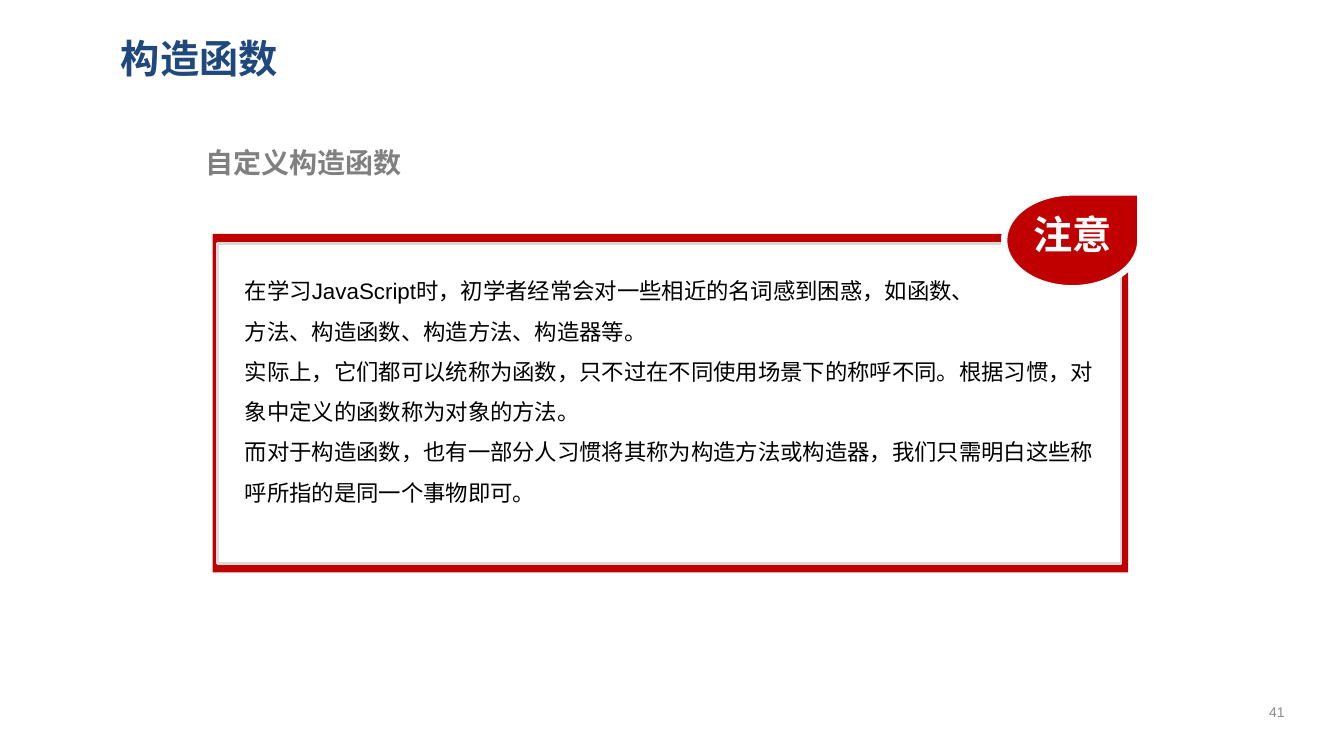
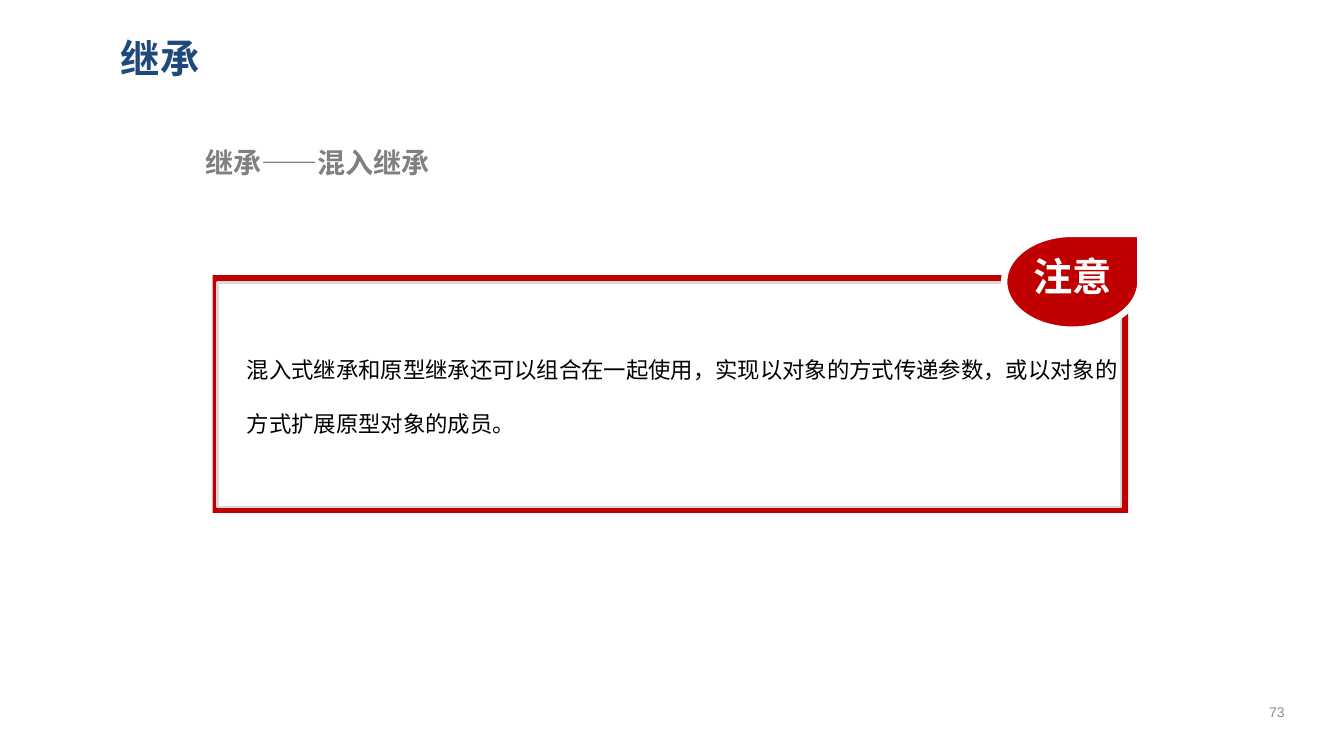
"""Build two note slides about JavaScript constructors and inheritance."""
from dataclasses import dataclass
from typing import NamedTuple

from lxml import etree
from pptx import Presentation
from pptx import util as u
from pptx.dml.color import RGBColor
from pptx.enum import shapes, text
from pptx.oxml.ns import qn

EMU_PER_PX = 9144


@dataclass(frozen=True)
class Theme:
    """Colours, fonts and type sizes shared by the slides."""
    navy: str = "1F497D"
    grey: str = "808080"
    red: str = "C00000"
    white: str = "FFFFFF"
    edge: str = "D9D9D9"
    black: str = "000000"
    number: str = "8C8C8C"
    latin: str = "Arial"
    cjk: str = "Noto Sans CJK SC"
    title_size: int = 28
    subtitle_size: int = 20
    body_size: int = 16
    number_size: int = 10


class Box(NamedTuple):
    """A rectangle in px, one hundred to the inch."""
    left: int
    top: int
    width: int
    height: int

    def emu(self) -> list[u.Emu]:
        """Return the four lengths in EMU."""
        return [px(n) for n in self]


@dataclass(frozen=True)
class Note:
    """The content of one slide and the places that vary."""
    title: str
    subtitle: str
    number: int
    panel_top: int
    panel_height: int
    body: Box
    spacing: float
    paragraphs: tuple[str, ...]


THEME = Theme()
TITLE_BOX = Box(110, 24, 1165, 67)
SUBTITLE_BOX = Box(194, 139, 922, 44)
NUMBER_BOX = Box(1234, 686, 65, 40)

NOTES = (
    Note("构造函数", "自定义构造函数", 41, 232, 336, Box(233, 257, 873, 283), 1.5, (
        "在学习JavaScript时，初学者经常会对一些相近的名词感到困惑，如函数、",
        "方法、构造函数、构造方法、构造器等。",
        "实际上，它们都可以统称为函数，只不过在不同使用场景下的称呼不同。"
        "根据习惯，对象中定义的函数称为对象的方法。",
        "而对于构造函数，也有一部分人习惯将其称为构造方法或构造器，"
        "我们只需明白这些称呼所指的是同一个事物即可。")),
    Note("继承", "继承——混入继承", 73, 273, 236, Box(235, 322, 890, 122), 2.0, (
        "混入式继承和原型继承还可以组合在一起使用，"
        "实现以对象的方式传递参数，或以对象的方式扩展原型对象的成员。",)),
)


def px(n: int) -> u.Emu:
    """Turn px into EMU."""
    return u.Emu(n * EMU_PER_PX)


def write(tf, *lines: str, size: int, color: str, font: str = THEME.cjk,
          bold: bool = False, align=text.PP_ALIGN.LEFT,
          anchor=text.MSO_ANCHOR.TOP, spacing: float = 1.0,
          wrap: bool = True) -> None:
    """Fill a text frame with one formatted paragraph per line."""
    tf.word_wrap = wrap
    tf.auto_size = text.MSO_AUTO_SIZE.NONE
    tf.vertical_anchor = anchor
    for i, line in enumerate(lines):
        p = tf.add_paragraph() if i else tf.paragraphs[0]
        p.alignment = align
        p.line_spacing = spacing
        r = p.add_run()
        r.text = line
        r.font.name = font
        r.font.size = u.Pt(size)
        r.font.bold = bold
        r.font.color.rgb = RGBColor.from_string(color)
        ea = etree.SubElement(r._r.get_or_add_rPr(), qn("a:ea"))
        ea.set("typeface", THEME.cjk)


def add_text(parent, box: Box, *lines: str, **fmt) -> None:
    """Add a text box with formatted lines."""
    write(parent.add_textbox(*box.emu()).text_frame, *lines, **fmt)


def add_block(parent, kind, box: Box, fill: str, line: str | None = None,
              weight: float = 0) -> None:
    """Add a flat filled shape, outlined if a line colour is given."""
    sp = parent.add_shape(kind, *box.emu())
    sp.shadow.inherit = False
    sp.fill.solid()
    sp.fill.fore_color.rgb = RGBColor.from_string(fill)
    if line is None:
        sp.line.fill.background()
    else:
        sp.line.color.rgb = RGBColor.from_string(line)
        sp.line.width = u.Pt(weight)


def add_panel(s, top: int, height: int) -> None:
    """Draw the red frame with its white inner sheet."""
    margin = round(height * 0.03)
    panel = s.shapes.add_group_shape().shapes
    rect = shapes.MSO_SHAPE.RECTANGLE
    add_block(panel, rect, Box(211, top, 908, height), THEME.red)
    add_block(panel, rect, Box(216, top + margin, 896, height - 2 * margin + 1),
              THEME.white, THEME.edge, 2)


def add_badge(s, top: int) -> None:
    """Draw the teardrop label on the panel corner."""
    badge = s.shapes.add_group_shape().shapes
    add_block(badge, shapes.MSO_SHAPE.TEAR, Box(996, top, 135, 95),
              THEME.red, THEME.white, 4.5)
    add_text(badge, Box(1015, top + 13, 99, 57), "注意", size=THEME.title_size,
             color=THEME.white, bold=True, wrap=False)


def add_note_slide(prs, note: Note) -> None:
    """Add one complete note slide."""
    s = prs.slides.add_slide(prs.slide_layouts.get_by_name("Title Only"))
    title = s.shapes.title
    title.left, title.top, title.width, title.height = TITLE_BOX.emu()
    write(title.text_frame, note.title, size=THEME.title_size,
          color=THEME.navy, bold=True, anchor=text.MSO_ANCHOR.MIDDLE)
    add_text(s.shapes, SUBTITLE_BOX, note.subtitle, size=THEME.subtitle_size,
             color=THEME.grey, bold=True)
    add_panel(s, note.panel_top, note.panel_height)
    add_badge(s, note.panel_top - 41)
    add_text(s.shapes, note.body, *note.paragraphs, size=THEME.body_size,
             color=THEME.black, font=THEME.latin, spacing=note.spacing)
    add_text(s.shapes, NUMBER_BOX, str(note.number), size=THEME.number_size,
             color=THEME.number, font=THEME.latin, align=text.PP_ALIGN.CENTER,
             anchor=text.MSO_ANCHOR.MIDDLE)


def main() -> None:
    """Build and save the presentation."""
    prs = Presentation()
    prs.slide_width, prs.slide_height = px(1333), px(750)
    for note in NOTES:
        add_note_slide(prs, note)
    prs.save("out.pptx")


if __name__ == "__main__":
    main()
